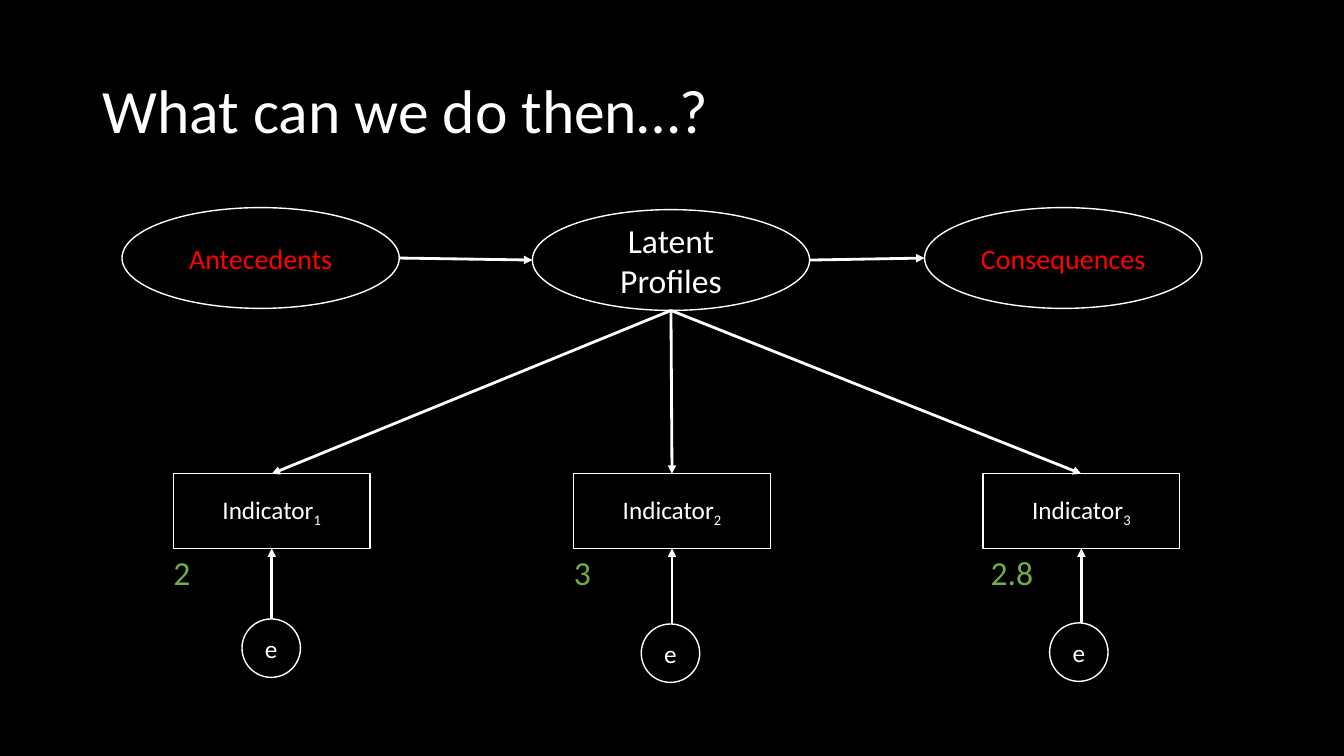
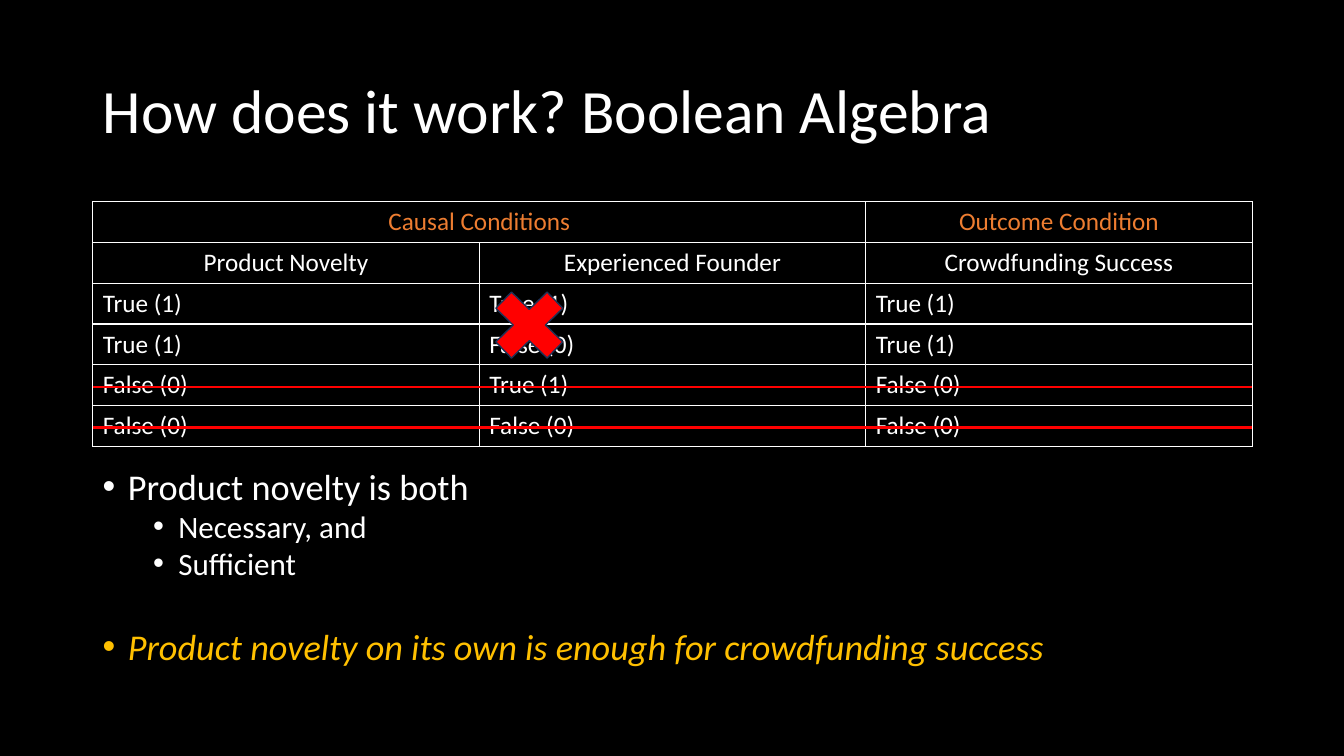
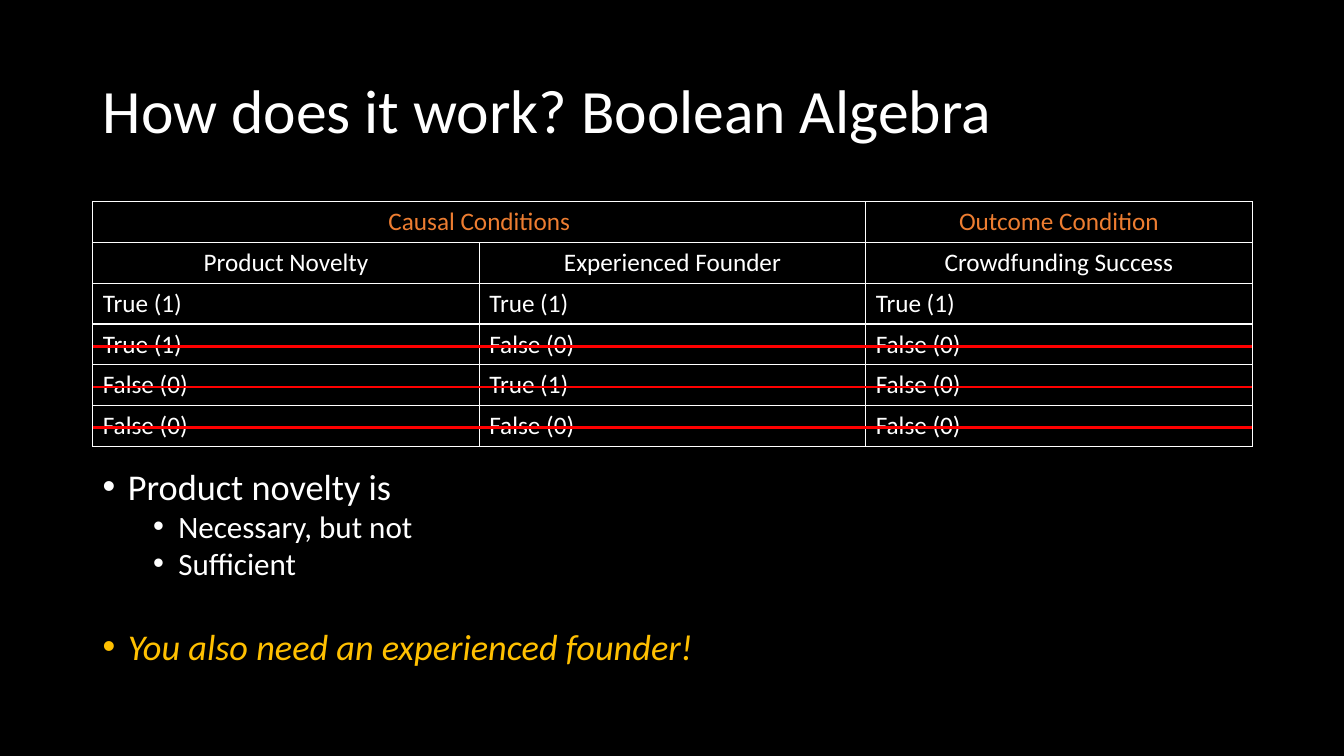
import pptx
import pptx.util
import pptx.dml.color
import pptx.enum.shapes
import pptx.enum.text
import pptx.oxml
import pptx.oxml.ns

RGB = pptx.dml.color.RGBColor
BLACK = RGB(0x00, 0x00, 0x00)
WHITE = RGB(0xFF, 0xFF, 0xFF)
RED = RGB(0xFF, 0x00, 0x00)
GREEN = RGB(0x70, 0xAD, 0x47)
ORANGE = RGB(0xED, 0x7D, 0x31)
GOLD = RGB(0xFF, 0xC0, 0x00)
NAVY = RGB(0x1E, 0x32, 0x56)

FONT = "Calibri"
SCALE = 9144  # EMU in one px, 100 px to the inch
PT = pptx.util.Pt
KIND = pptx.enum.shapes.MSO_SHAPE
LINE = pptx.enum.shapes.MSO_CONNECTOR.STRAIGHT
MID = pptx.enum.text.MSO_ANCHOR.MIDDLE
LEFT = pptx.enum.text.PP_ALIGN.LEFT
CENTER = pptx.enum.text.PP_ALIGN.CENTER

# Content: path model
MODEL = "What can we do then…?"
OVAL = (275, 100)
HUB = (528, 208, ["Latent", "Profiles"], 24, WHITE)
SIDES = [
    (121, 206, ["Antecedents"], 20, RED),
    (917, 206, ["Consequences"], 20, RED),
]
BOX = (195, 74)
BOX_TOP = 470
RING = 58
# box left, subscript, score, score left, ring left, ring top
ITEMS = [
    (172, "1", "2", 121, 240, 614),
    (569, "2", "3", 518, 636, 619),
    (975, "3", "2.8", 944, 1041, 618),
]

# Content: truth tables
LOGIC = "How does it work? Boolean Algebra"
GROUPS = ["Causal Conditions", "", "Outcome Condition"]
HEADS = ["Product Novelty", "Experienced Founder", "Crowdfunding Success"]
WORDS = {1: "True (1)", 0: "False (0)"}
GRID = (92, 200, 1150, 243)
CROSS = (476, 275, 98, 95)
CASES = [
    dict(
        rows=[(1, 1, 1), (1, 0, 1), (0, 1, 0), (0, 0, 0)],
        struck=[4, 5],
        cross=True,
        notes=["Product novelty is both", "Necessary, and", "Sufficient",
               "Product novelty on its own is enough for crowdfunding success"],
    ),
    dict(
        rows=[(1, 1, 1), (1, 0, 0), (0, 1, 0), (0, 0, 0)],
        struck=[3, 4, 5],
        cross=False,
        notes=["Product novelty is", "Necessary, but not", "Sufficient",
               "You also need an experienced founder!"],
    ),
]
# One format for each note: left margin, gap before, size, colour, italic
NOTES = [
    (25, 10, 25.9, WHITE, False),
    (75, 5, 22.2, WHITE, False),
    (75, 5, 22.2, WHITE, False),
    (25, 37, 25.9, GOLD, True),
]


# Shared helpers
def px(val):
    return int(val * SCALE)


def put(obj, **form):
    for key, val in form.items():
        setattr(obj, key, val)


def write(para, text, size, color, **form):
    run = para.add_run()
    run.text = text
    put(run.font, name=FONT, size=PT(size), **form)
    run.font.color.rgb = color
    return run


def node(root, tag, **attrs):
    item = pptx.oxml.parse_xml(f"<{tag} {pptx.oxml.ns.nsdecls('a')}/>")
    for key, val in attrs.items():
        item.set(key, str(val))
    root.append(item)
    return item


def text(slide, *area):
    frame = slide.shapes.add_textbox(*map(px, area)).text_frame
    frame.word_wrap = True
    return frame


def start(deck, title):
    slide = deck.slides.add_slide(deck.slide_layouts[6])
    frame = text(slide, 92, 40, 1150, 145)
    frame.vertical_anchor = MID
    para = frame.paragraphs[0]
    para.line_spacing = 0.9
    write(para, title, 44, WHITE)
    return slide


def shape(slide, kind, area, fill=BLACK, edge=WHITE):
    item = slide.shapes.add_shape(kind, *map(px, area))
    item.shadow.inherit = False
    item.fill.solid()
    item.fill.fore_color.rgb = fill
    item.line.color.rgb = edge
    item.line.width = PT(1)
    return item


def label(item, lines, size, color):
    frame = item.text_frame
    put(frame, word_wrap=True, vertical_anchor=MID)
    for i, line in enumerate(lines):
        para = frame.add_paragraph() if i else frame.paragraphs[0]
        para.alignment = CENTER
        write(para, line, size, color)


def link(slide, x1, y1, x2, y2, color=WHITE, head=True):
    item = slide.shapes.add_connector(LINE, px(x1), px(y1), px(x2), px(y2))
    item.line.color.rgb = color
    item.line.width = PT(2)
    props = item.element.spPr
    if head:
        node(props.find(pptx.oxml.ns.qn("a:ln")), "a:tailEnd", type="triangle")
    node(props, "a:effectLst")
    return item


# Path model slide
def oval(slide, x, y, lines, size, color):
    label(shape(slide, KIND.OVAL, (x, y, *OVAL)), lines, size, color)


def model(deck):
    slide = start(deck, MODEL)
    wide, high = OVAL
    oval(slide, *HUB)
    for side in SIDES:
        oval(slide, *side)
    ends = sorted([HUB, *SIDES], key=lambda end: end[0])
    for one, two in zip(ends, ends[1:]):
        link(slide, one[0] + wide, one[1] + high / 2,
             two[0], two[1] + high / 2)

    for x, sub, score, left, ring, top in ITEMS:
        box = shape(slide, KIND.RECTANGLE, (x, BOX_TOP, *BOX))
        label(box, ["Indicator"], 18, WHITE)
        run = write(box.text_frame.paragraphs[0], sub, 18, WHITE)
        run.font._element.set("baseline", "-25000")

        mid = x + BOX[0] / 2
        low = BOX_TOP + BOX[1]
        down = link(slide, HUB[0] + wide / 2, HUB[1] + high, mid, BOX_TOP)
        down.end_connect(box, 0)
        link(slide, mid, top + 4, mid, low).end_connect(box, 2)
        error = shape(slide, KIND.OVAL, (ring, top, RING, RING))
        label(error, ["e"], 18, WHITE)

        para = text(slide, left, 543, 119, 50).paragraphs[0]
        para.alignment = CENTER
        write(para, score, 24, GREEN)


# Truth table slides
def fill(cell, word, color, align):
    para = cell.text_frame.paragraphs[0]
    para.alignment = align
    if word:
        write(para, word, 18, color)
    props = cell._tc.get_or_add_tcPr()
    for side in "LRTB":
        edge = node(props, f"a:ln{side}", w=PT(1))
        node(node(edge, "a:solidFill"), "a:srgbClr", val=WHITE)
    cell.fill.solid()
    cell.fill.fore_color.rgb = BLACK


def table(slide, rows):
    body = [[WORDS[val] for val in row] for row in rows]
    data = [GROUPS, HEADS, *body]
    grid = slide.shapes.add_table(
        len(data), len(HEADS), *map(px, GRID)).table
    put(grid, first_row=False, horz_banding=False)
    for col in grid.columns:
        col.width = px(GRID[2]) // len(HEADS)
    for r, row in enumerate(data):
        grid.rows[r].height = px(GRID[3]) // len(data)
        for c, word in enumerate(row):
            fill(grid.cell(r, c), word, WHITE if r else ORANGE,
                 CENTER if r < 2 else LEFT)
    grid.cell(0, 0).merge(grid.cell(0, 1))
    return GRID[3] / len(data)


def logic(deck, case):
    slide = start(deck, LOGIC)
    step = table(slide, case["rows"])
    x, top, wide, _ = GRID
    for row in case["struck"]:
        y = top + step * row + 22
        link(slide, x, y, x + wide, y, RED, False)
    if case["cross"]:
        shape(slide, KIND.MATH_MULTIPLY, CROSS, RED, NAVY)

    frame = text(slide, 92, 464, 1150, 212)
    for i, (note, form) in enumerate(zip(case["notes"], NOTES)):
        left, gap, size, color, slant = form
        para = frame.add_paragraph() if i else frame.paragraphs[0]
        put(para, level=int(left > 25), line_spacing=0.8, space_before=PT(gap))
        props = para._p.get_or_add_pPr()
        props.set("marL", str(px(left)))
        props.set("indent", str(px(-25)))
        node(props, "a:buFont", typeface="Arial")
        node(props, "a:buChar", char="•")
        write(para, note, size, color, italic=slant)


def main():
    deck = pptx.Presentation()
    put(deck, slide_width=px(1333), slide_height=px(750))
    back = deck.slide_master.background.fill
    back.solid()
    back.fore_color.rgb = BLACK
    model(deck)
    for case in CASES:
        logic(deck, case)
    deck.save("out.pptx")


if __name__ == "__main__":
    main()
